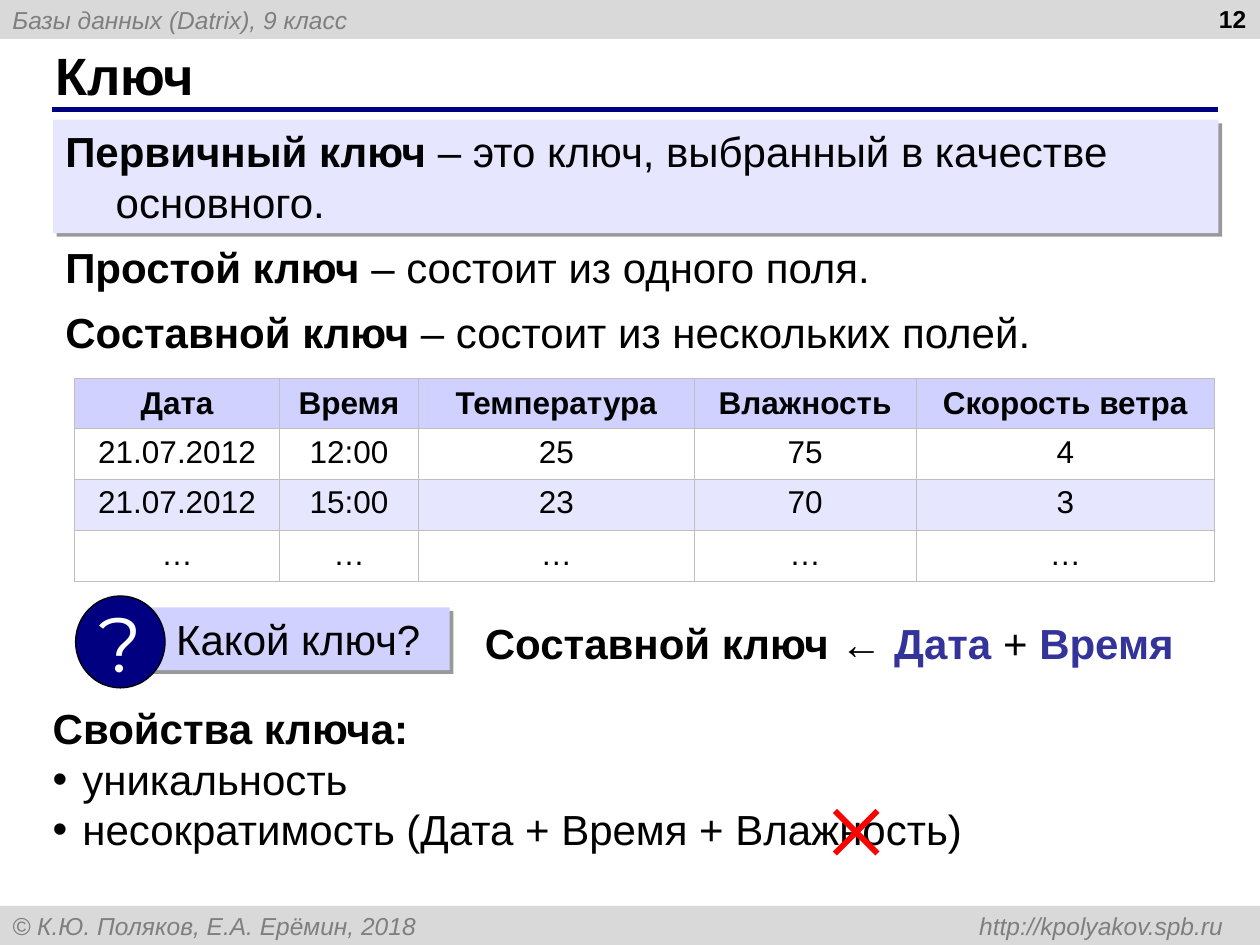
from lxml import etree
from pptx import Presentation
from pptx.dml.color import RGBColor
from pptx.enum.shapes import MSO_CONNECTOR, MSO_SHAPE
from pptx.enum.text import MSO_ANCHOR, MSO_AUTO_SIZE, PP_ALIGN
from pptx.oxml.ns import qn
from pptx.util import Inches, Pt

RECT, OVAL, CROSS = MSO_SHAPE.RECTANGLE, MSO_SHAPE.OVAL, MSO_SHAPE.MATH_MULTIPLY
LINE = MSO_CONNECTOR.STRAIGHT
TOP, MID = MSO_ANCHOR.TOP, MSO_ANCHOR.MIDDLE
LEFT, MIDST, RIGHT = PP_ALIGN.LEFT, PP_ALIGN.CENTER, PP_ALIGN.RIGHT
GROW, FIXED = MSO_AUTO_SIZE.SHAPE_TO_FIT_TEXT, MSO_AUTO_SIZE.NONE

COLS, ROWS, CELL = 100, 75, 0.1
BLACK, WHITE, GRAY, NAVY = "000000", "FFFFFF", "7F7F7F", "000080"
BAR, PALE, LILAC, BLUE, EDGE, RED = "D9D9D9", "E6E6FF", "D1D1FF", "333399", "BFBFBF", "FF0000"
PLAIN = {"name": "Arial", "size": Pt(24), "bold": False, "italic": False}
BOLD = {"bold": True}
SMALL = {"size": Pt(14), "italic": True, "color": GRAY}

WIDTHS = [16.3, 11, 21.9, 17.6, 23.7]
HEIGHTS = [4, 4, 4.1, 4]
DATA = [
    ["Дата", "Время", "Температура", "Влажность", "Скорость ветра"],
    ["21.07.2012", "12:00", "25", "75", "4"],
    ["21.07.2012", "15:00", "23", "70", "3"],
    ["…"] * 5,
]


def grid(*cells):
    return [Inches(n * CELL) for n in cells]


def tint(code):
    return RGBColor.from_string(code)


def apply(item, vals):
    for key, val in vals.items():
        setattr(item, key, val)


def sub(node, tag, **vals):
    return etree.SubElement(node, qn(tag), {k: str(v) for k, v in vals.items()})


def paint(item, code):
    item.fill.solid()
    item.fill.fore_color.rgb = tint(code)


def write(para, runs, align=LEFT):
    para.alignment = align
    for text, vals in runs:
        run = para.add_run()
        run.text = text
        form = {**PLAIN, **vals}
        run.font.color.rgb = tint(form.pop("color", BLACK))
        apply(run.font, form)


def indent(para, left, first):
    props = para._p.get_or_add_pPr()
    props.set("marL", str(grid(left)[0]))
    props.set("indent", str(grid(first)[0]))
    return props


def label(shapes, box, runs, align=LEFT, anchor=TOP, size=GROW):
    item = shapes.add_textbox(*grid(*box))
    frame = item.text_frame
    apply(frame, {"word_wrap": True, "auto_size": size, "vertical_anchor": anchor})
    write(frame.paragraphs[0], runs, align)
    return item


def block(shapes, kind, box, fill, runs=(), align=LEFT, anchor=MID, edge=None, wrap=True):
    item = shapes.add_shape(kind, *grid(*box))
    item.shadow.inherit = False
    paint(item, fill)
    if edge:
        item.line.color.rgb = tint(edge)
        item.line.width = Pt(0.75)
    else:
        item.line.fill.background()
    apply(item.text_frame, {"word_wrap": wrap, "vertical_anchor": anchor})
    write(item.text_frame.paragraphs[0], runs, align)
    return item


def shade(item):
    effects = item._element.spPr.find(qn("a:effectLst"))
    cast = sub(effects, "a:outerShdw", blurRad=0, dist=Pt(3), dir=2700000, algn="tl", rotWithShape=0)
    sub(sub(cast, "a:srgbClr", val=BLACK), "a:alpha", val=40000)


def rule(shapes, left, right, row):
    line = shapes.add_connector(LINE, *grid(left, row, right, row))
    line.line.color.rgb = tint(NAVY)
    line.line.width = Pt(3)
    sub(line._element.spPr, "a:effectLst")


def border(cell):
    props = cell._tc.get_or_add_tcPr()
    for side in ("a:lnL", "a:lnR", "a:lnT", "a:lnB"):
        line = sub(props, side, w=Pt(0.45))
        sub(sub(line, "a:solidFill"), "a:srgbClr", val=EDGE)


def table(shapes, left, top):
    box = grid(left, top, sum(WIDTHS), sum(HEIGHTS))
    sheet = shapes.add_table(len(DATA), len(WIDTHS), *box).table
    apply(sheet, {"first_row": False, "horz_banding": False})
    for col, wide in zip(sheet.columns, WIDTHS):
        col.width = grid(wide)[0]
    fills = [LILAC, WHITE, PALE, WHITE]
    for r, (row, high) in enumerate(zip(sheet.rows, HEIGHTS)):
        row.height = grid(high)[0]
        head = r == 0
        side = Inches(0.08 if head else 0.1)
        for cell, text in zip(row.cells, DATA[r]):
            apply(cell, {"margin_left": side, "margin_right": side,
                         "vertical_anchor": MID if head else TOP})
            border(cell)
            paint(cell, fills[r])
            write(cell.text_frame.paragraphs[0], [(text, {"size": Pt(18), "bold": head})], MIDST)


def frame(shapes):
    high = 3.1
    block(shapes, RECT, (0, 0, COLS, high), BAR, [("Базы данных (Datrix), 9 класс", SMALL)])
    foot = block(shapes, RECT, (0, ROWS - high, COLS, high), BAR)
    para = foot.text_frame.paragraphs[0]
    tabs = sub(para._p.get_or_add_pPr(), "a:tabLst")
    sub(tabs, "a:tab", pos=grid(96.1)[0], algn="r")
    write(para, [("© К.Ю. Поляков, Е.А. Ерёмин, 2018 \thttp://kpolyakov.spb.ru", SMALL)])
    rule(shapes, 4.1, 96.7, 8.7)
    label(shapes, (3.4, 3.3, 91.6, 5.2), [("Ключ", {"size": Pt(30), **BOLD})], anchor=MID, size=FIXED)
    label(shapes, (76.6, -0.2, 23.3, 5.2), [("12", {"size": Pt(14), **BOLD})], RIGHT, size=FIXED)


def terms(shapes):
    left, wide = 4.2, 92.5
    main_term = block(shapes, RECT, (left, 9.5, wide, 9), PALE, [
        ("Первичный ключ", BOLD), (" – это ключ, выбранный в качестве основного.", {})], anchor=TOP)
    indent(main_term.text_frame.paragraphs[0], 4, -4)
    shade(main_term)
    pairs = [("Простой ключ", " – состоит из одного поля."),
             ("Составной ключ", " – состоит из нескольких полей.")]
    for n, (name, text) in enumerate(pairs):
        label(shapes, (left, 18.7 + 5.1 * n, wide, 5), [(name, BOLD), (text, {})])


def quiz(shapes):
    mark = {**BOLD, "color": BLUE}
    label(shapes, (37.5, 48.5, 57.2, 5), [
        ("Составной ключ ", BOLD), ("← ", {}), ("Дата", mark), (" + ", {}), ("Время", mark)])
    group = shapes.add_group_shape().shapes
    ask = block(group, RECT, (11.1, 48.2, 24.6, 5), LILAC, [("Какой ключ?", {})], anchor=TOP)
    indent(ask.text_frame.paragraphs[0], 1.9, 0)
    shade(ask)
    sign = {"name": "Montserrat", "size": Pt(44), "color": WHITE}
    block(group, OVAL, (6, 47.3, 7.1, 7.3), NAVY, [("?", sign)], MIDST, edge=BLACK, wrap=False)


def traits(shapes):
    item = label(shapes, (3.2, 55.3, 92.5, 13), [("Свойства ключа:", BOLD)])
    for text in ("уникальность", "несократимость (Дата + Время + Влажность)"):
        para = item.text_frame.add_paragraph()
        props = indent(para, 2.35, -2.35)
        sub(sub(props, "a:buClr"), "a:srgbClr", val=BLACK)
        sub(props, "a:buFont", typeface="Arial")
        sub(props, "a:buChar", char="•")
        write(para, [(text, {})])
    cross = block(shapes, CROSS, (64.7, 62.8, 6.5, 6.5), RED)
    cross.adjustments[0] = 0.07


def main():
    deck = Presentation()
    deck.slide_width, deck.slide_height = grid(COLS, ROWS)
    shapes = deck.slides.add_slide(deck.slide_layouts[6]).shapes
    frame(shapes)
    terms(shapes)
    table(shapes, 5.9, 30)
    quiz(shapes)
    traits(shapes)
    deck.save("out.pptx")


if __name__ == "__main__":
    main()
